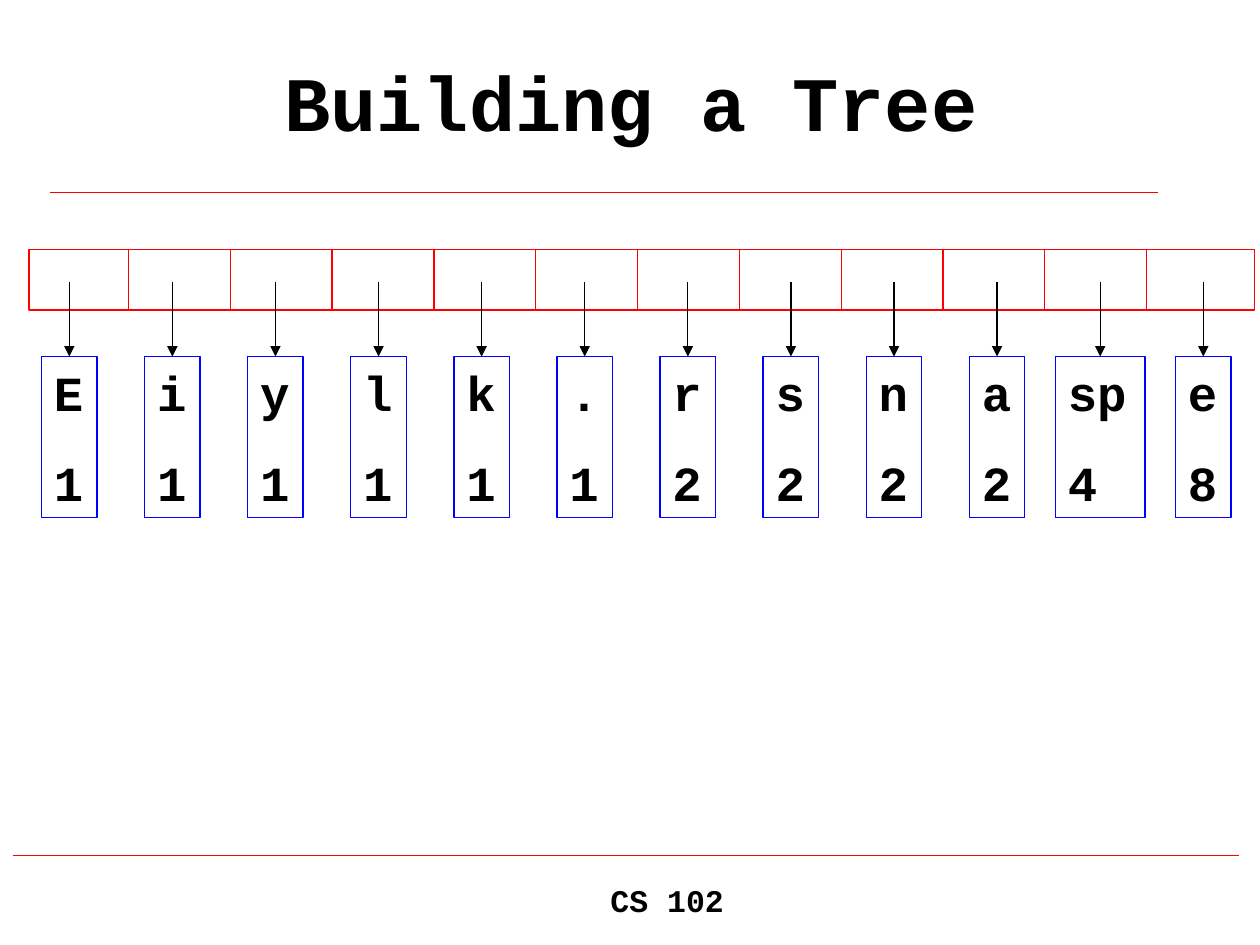
"""Build the "Building a Tree" slide: a queue of leaf nodes with their frequencies."""
import pptx
import pptx.dml.color
import pptx.enum.shapes
import pptx.enum.text
import pptx.oxml
import pptx.oxml.ns
import pptx.util
from pptx.util import Inches

BLACK = pptx.dml.color.RGBColor(0x00, 0x00, 0x00)
WHITE = pptx.dml.color.RGBColor(0xFF, 0xFF, 0xFF)
RED = pptx.dml.color.RGBColor(0xFF, 0x00, 0x00)
BLUE = pptx.dml.color.RGBColor(0x00, 0x00, 0xFF)
FONT = "Courier New"
LINE_WIDTH = pptx.util.Pt(0.75)
RECTANGLE = pptx.enum.shapes.MSO_SHAPE.RECTANGLE
STRAIGHT = pptx.enum.shapes.MSO_CONNECTOR.STRAIGHT
ALIGN = pptx.enum.text.PP_ALIGN
ANCHOR = pptx.enum.text.MSO_ANCHOR
AUTO_SIZE = pptx.enum.text.MSO_AUTO_SIZE


def write_text(box, text, size, align=ALIGN.LEFT, anchor=ANCHOR.TOP, space_before=0):
    frame = box.text_frame
    frame.word_wrap = True
    frame.vertical_anchor = anchor
    frame.text = text
    for para in frame.paragraphs:
        para.alignment = align
        para.space_before = pptx.util.Pt(space_before)
        for span in para.runs:
            span.font.name = FONT
            span.font.size = pptx.util.Pt(size)
            span.font.bold = True
            span.font.color.rgb = BLACK


def draw_line(x1, y1, x2, y2, color):
    line = page.shapes.add_connector(
        STRAIGHT, Inches(x1), Inches(y1), Inches(x2), Inches(y2)
    )
    line.line.color.rgb = color
    line.line.width = LINE_WIDTH
    line._element.spPr.append(pptx.oxml.parse_xml(
        f'<a:effectLst {pptx.oxml.ns.nsdecls("a")}/>'
    ))
    return line


deck = pptx.Presentation()
deck.slide_width = Inches(10)
deck.slide_height = Inches(7.5)
page = deck.slides.add_slide(deck.slide_layouts[6])

draw_line(0.4, 1.53, 9.19, 1.53, RED)
draw_line(0.1, 6.79, 9.83, 6.79, RED)

footer = page.shapes.add_textbox(Inches(2.68), Inches(6.94), Inches(5.23), Inches(0.5))
write_text(footer, "CS 102", size=18, align=ALIGN.CENTER)
title = page.shapes.add_textbox(Inches(0.76), Inches(0.17), Inches(8.5), Inches(1.25))
write_text(title, "Building a Tree", size=44, align=ALIGN.CENTER, anchor=ANCHOR.MIDDLE)

leaves = [
    ("E", 1), ("i", 1), ("y", 1), ("l", 1), ("k", 1), (".", 1),
    ("r", 2), ("s", 2), ("n", 2), ("a", 2), ("sp", 4), ("e", 8),
]

queue_top, queue_height = 1.98, 0.48
queue = page.shapes.add_shape(
    RECTANGLE, Inches(0.23), Inches(queue_top), Inches(9.73), Inches(queue_height)
)
queue.shadow.inherit = False
queue.fill.solid()
queue.fill.fore_color.rgb = WHITE
queue.line.color.rgb = RED
queue.line.width = LINE_WIDTH

divider_start, divider_end = 1.02, 9.1
divider_gap = (divider_end - divider_start) / (len(leaves) - 2)
for index in range(len(leaves) - 1):
    x = divider_start + index * divider_gap
    draw_line(x, queue_top, x, queue_top + queue_height, RED)

first_center, last_center = 0.55, 9.55
leaf_gap = (last_center - first_center) / (len(leaves) - 1)
leaf_top = 2.83
for index, (symbol, count) in enumerate(leaves):
    center = first_center + index * leaf_gap
    width = 0.44 if len(symbol) == 1 else 0.71
    leaf = page.shapes.add_shape(
        RECTANGLE, Inches(center - width / 2), Inches(leaf_top), Inches(width), Inches(1.28)
    )
    leaf.shadow.inherit = False
    leaf.fill.background()
    leaf.line.color.rgb = BLUE
    leaf.line.width = LINE_WIDTH
    write_text(leaf, f"{symbol}\n{count}", size=28, space_before=17.5)
    leaf.text_frame.auto_size = AUTO_SIZE.SHAPE_TO_FIT_TEXT

    arrow = draw_line(center, 2.24, center, leaf_top, BLACK)
    arrow.end_connect(leaf, 0)
    arrow.line._get_or_add_ln().append(pptx.oxml.parse_xml(
        f'<a:tailEnd {pptx.oxml.ns.nsdecls("a")} type="triangle"/>'
    ))

deck.save("out.pptx")
